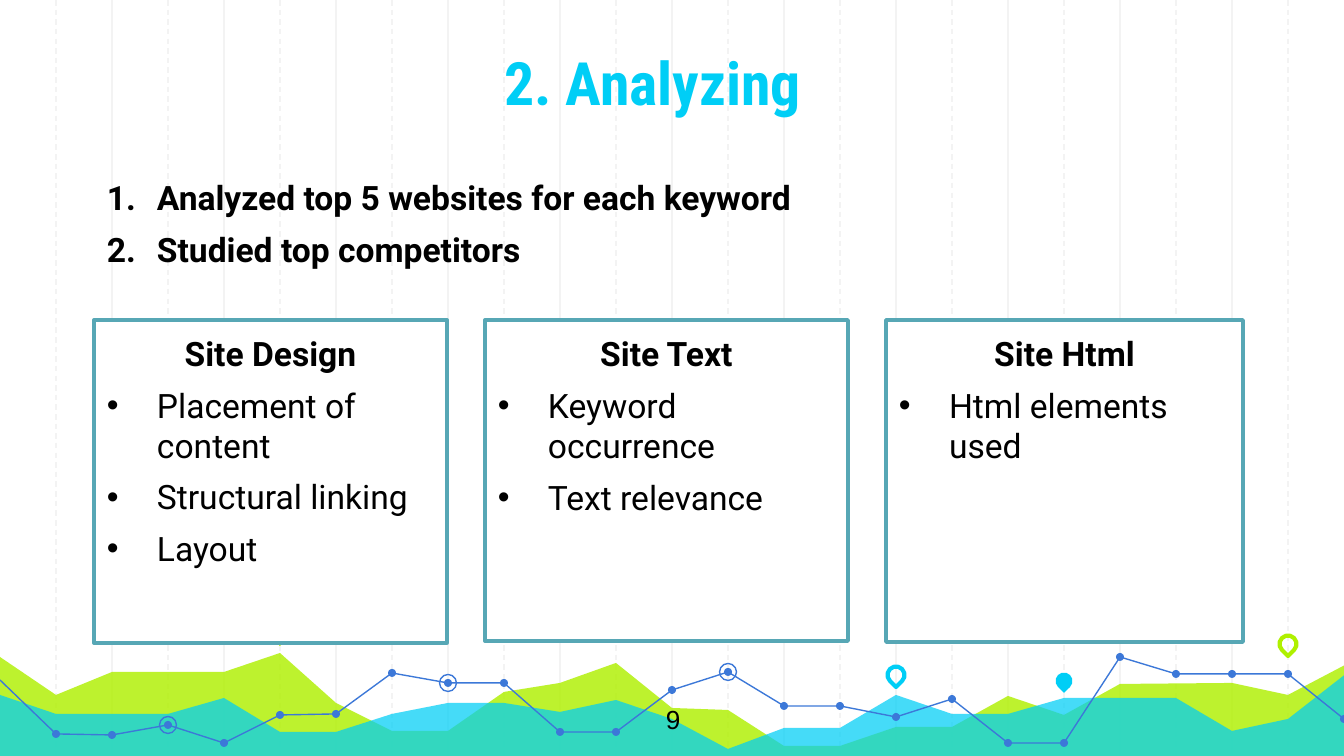
import pptx
import pptx.util
import pptx.dml.color
import pptx.enum.dml
import pptx.enum.shapes
import pptx.enum.text
import pptx.oxml.ns
from lxml import etree

SHAPE = pptx.enum.shapes.MSO_SHAPE
ALIGN = pptx.enum.text.PP_ALIGN
ANCHOR = pptx.enum.text.MSO_ANCHOR
DASH = pptx.enum.dml.MSO_LINE.DASH

# Content
TITLE = "2. Analyzing"
STEPS = ["Analyzed top 5 websites for each keyword", "Studied top competitors"]
CARDS = [  # box, heading, points
    ((94, 320, 353, 323), "Site Design",
     ["Placement of content", "Structural linking", "Layout"]),
    ((485, 320, 363, 321), "Site Text", ["Keyword occurrence", "Text relevance"]),
    ((886, 320, 357, 322), "Site Html", ["Html elements used"]),
]
PAGE = "9"

# Backdrop data: (column, height) pairs, and one line height per column
GREEN = [(0, 655), (1, 695), (2, 672), (4, 672), (5, 653), (6, 703), (7, 731),
         (8, 731), (9, 692), (10, 683), (11, 663), (12, 708), (13, 710),
         (14, 746), (15, 746), (16, 727), (17, 727), (18, 696), (19, 715),
         (20, 684), (22, 683), (23, 695), (24, 664)]
CYAN = [(0, 694), (1, 714), (3, 714), (4, 698), (5, 732), (6, 732), (7, 714),
        (8, 703), (9, 703), (10, 712), (11, 700), (12, 719), (13, 749),
        (14, 728), (15, 728), (16, 695), (17, 714), (18, 714), (19, 698),
        (21, 698), (22, 731), (23, 719), (24, 673)]
TREND = [680, 734, 735, 725, 743, 715, 714, 673, 683, 683, 732, 732, 690,
         672, 706, 706, 717, 699, 743, 743, 657, 674, 674, 674, 719]
PARTS = [(0, 11), (11, 20), (20, 24)]
RINGS = [3, 8, 13]
PINS = [(5, 634, "lime", True), (16, 675, "cyan", False),
        (19, 681, "cyan", True), (23, 644, "lime", False)]

THEME = {
    "color": {"grid": "F3F3F3", "lime": "AFF000", "cyan": "00CEF6",
              "blue": "3C78D8", "edge": "57A7B5", "white": "FFFFFF",
              "text": "000000"},
    "title": {"name": "Roboto Condensed", "size": 32, "bold": True, "color": "cyan"},
    "strong": {"name": "Roboto", "size": 18, "bold": True, "color": "text"},
    "body": {"name": "Roboto", "size": 18, "bold": False, "color": "text"},
    "page": {"name": "Arial", "size": 14, "bold": False, "color": "text"},
}

# Geometry in px
WIDE, HIGH, FOOT = 1344, 756, 759
STEP, DOT, RING, PAD, INDENT = 56, 8, 17, 13, 50
SCALE = 914400 / 134.4


def px(n):
    return pptx.util.Emu(round(n * SCALE))


def tint(name):
    return pptx.dml.color.RGBColor.from_string(THEME["color"][name])


def paint(item, fill=None, line=None, width=0.75, alpha=None):
    item.shadow.inherit = False
    if fill:
        item.fill.solid()
        item.fill.fore_color.rgb = tint(fill)
    else:
        item.fill.background()
    if alpha:
        tone = item.fill._xPr.find(".//" + pptx.oxml.ns.qn("a:srgbClr"))
        etree.SubElement(tone, pptx.oxml.ns.qn("a:alpha"), val=str(alpha * 1000))
    if line:
        item.line.color.rgb = tint(line)
        item.line.width = pptx.util.Pt(width)
    else:
        item.line.fill.background()


def place(kind, box, **look):
    item = shapes.add_shape(kind, *map(px, box))
    paint(item, **look)
    return item


def center(kind, x, y, size, **look):
    return place(kind, (x - size / 2, y - size / 2, size, size), **look)


def trace(points, close, **look):
    pen = shapes.build_freeform(*map(px, points[0]), scale=1.0)
    pen.add_line_segments([(px(x), px(y)) for x, y in points[1:]], close=close)
    paint(pen.convert_to_shape(), **look)


def area(data, color, alpha):
    ends = {0: -3, 24: WIDE + 3}
    top = [(ends.get(col, col * STEP), y) for col, y in data]
    trace(top + [(WIDE + 3, FOOT), (-3, FOOT)], True, fill=color, alpha=alpha)


def write(item, rows, **frame):
    """Each row is text, style, alignment, bullet."""
    box = item.text_frame
    form = {"word_wrap": True, "vertical_anchor": ANCHOR.TOP}
    form.update({"margin_" + s: px(PAD) for s in ("left", "top", "right", "bottom")})
    for key, val in (form | frame).items():
        setattr(box, key, val)
    for i, (text, style, align, mark) in enumerate(rows):
        para = box.paragraphs[0] if i == 0 else box.add_paragraph()
        para.alignment = align
        run = para.add_run()
        run.text = text
        look = THEME[style]
        for key, val in {"name": look["name"], "bold": look["bold"],
                         "size": pptx.util.Pt(look["size"])}.items():
            setattr(run.font, key, val)
        run.font.color.rgb = tint(look["color"])
        if mark is None:
            continue
        para.space_before = pptx.util.Pt(6)
        prop = para._p.get_or_add_pPr()
        prop.set("marL", str(px(INDENT)))
        prop.set("indent", str(-px(INDENT)))
        for tag, vals in mark:
            etree.SubElement(prop, pptx.oxml.ns.qn(tag), **vals)


def label(box, rows, **frame):
    write(shapes.add_textbox(*map(px, box)), rows, **frame)


NUMBER = [("a:buFont", {"typeface": "+mj-lt"}),
          ("a:buAutoNum", {"type": "arabicPeriod"})]
BULLET = [("a:buFont", {"typeface": "Arial"}), ("a:buChar", {"char": "•"})]
PLAIN = [("a:buNone", {})]

deck = pptx.Presentation()
deck.slide_width, deck.slide_height = px(WIDE), px(HIGH)
shapes = deck.slides.add_slide(deck.slide_layouts[6]).shapes

# Grid: solid lines on even columns, dashed on odd ones
for col in [*range(2, 24, 2), *range(1, 24, 2)]:
    x = px(col * STEP)
    rule = shapes.add_connector(pptx.enum.shapes.MSO_CONNECTOR.STRAIGHT,
                                x, 0, x, px(FOOT))
    rule.line.color.rgb = tint("grid")
    rule.line.width = pptx.util.Pt(0.75)
    if col % 2:
        rule.line.dash_style = DASH
    etree.SubElement(rule._element.spPr, pptx.oxml.ns.qn("a:effectLst"))

# Areas, pins and trend line
area(GREEN, "lime", 82)
area(CYAN, "cyan", 73)
for col, y, color, solid in PINS:
    look = {"fill": color} if solid else {"line": color, "width": 2.25}
    center(SHAPE.TEAR, col * STEP, y, RING, **look).rotation = 135
spots = [(col * STEP, y) for col, y in enumerate(TREND)]
for first, last in PARTS:
    trace(spots[first:last + 1], False, line="blue")
for x, y in spots[1:]:
    center(SHAPE.OVAL, x, y, DOT, fill="blue")
for col in RINGS:
    center(SHAPE.OVAL, *spots[col], RING, line="blue")

# Steps and title
label((94, 164, 1118, 284), [(s, "strong", ALIGN.LEFT, NUMBER) for s in STEPS])
label((270, -40, 766, 171), [(TITLE, "title", ALIGN.CENTER, None)],
      vertical_anchor=ANCHOR.BOTTOM)

# Cards
for box, head, points in CARDS:
    card = place(SHAPE.RECTANGLE, box, fill="white", line="edge", width=2)
    write(card, [(head, "strong", ALIGN.CENTER, PLAIN)]
          + [(p, "body", ALIGN.LEFT, BULLET) for p in points])

# Page number
label((653, 696, 42, 46), [(PAGE, "page", ALIGN.LEFT, None)],
      word_wrap=False, margin_top=px(7), margin_bottom=px(7))

deck.save("out.pptx")
